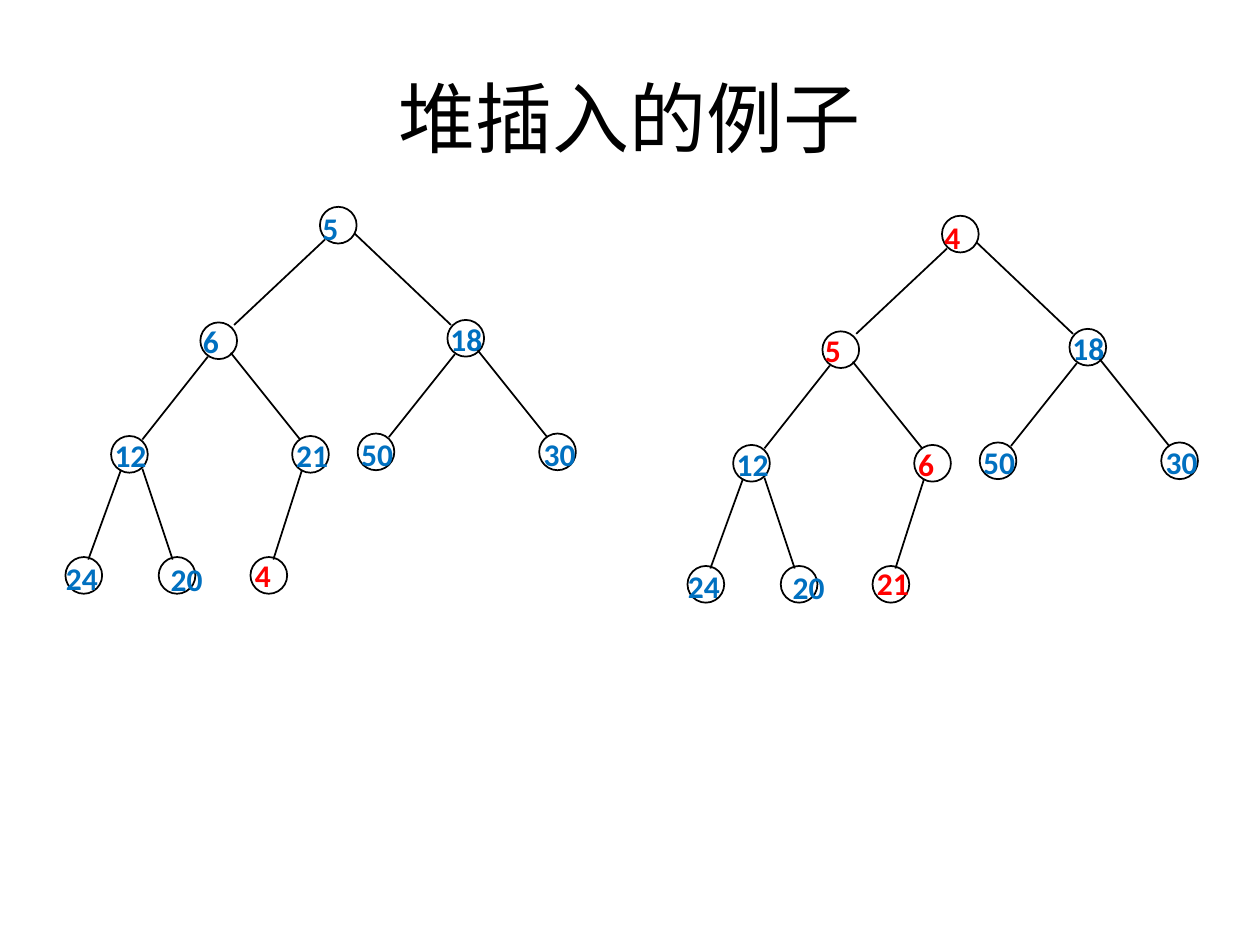
import pptx
import pptx.util
import pptx.dml.color
import pptx.enum.shapes
import pptx.enum.text
import pptx.oxml.ns
from lxml import etree

Cm = pptx.util.Cm
Pt = pptx.util.Pt
RGB = pptx.dml.color.RGBColor

THEME = {
    "ink": RGB(0x00, 0x00, 0x00),
    "key": RGB(0x00, 0x70, 0xC0),
    "moved": RGB(0xFF, 0x00, 0x00),
    "title_font": "Noto Sans CJK JP",
    "key_font": "Calibri",
    "title_size": Pt(44),
    "key_size": Pt(18),
    "line": Pt(1),
}

# Nodes in heap order: left, top, then the key's offset in its circle (cm)
NODES = [
    (6.45, 4.17, 0.05, 0.05),
    (4.04, 6.50, 0.05, 0), (9.02, 6.45, 0.06, 0.01),
    (2.24, 8.79, 0.07, 0), (5.89, 8.79, 0.08, 0),
    (7.21, 8.74, 0.07, 0.02), (10.87, 8.74, 0.09, 0.02),
    (1.32, 11.23, 0.01, 0.03), (3.20, 11.23, 0.24, 0.05), (5.05, 11.23, 0.09, -0.03),
]
NODE_SIZE = 0.74

# Edge ends per level, for left and right children:
# offset from the parent's corner, then from the child's corner (cm)
EDGES = [
    [(0.10, 0.66, 0.68, 0.05), (0.69, 0.53, 0.07, 0.10)],
    [(0.15, 0.69, 0.63, 0.07), (0.61, 0.61, 0.16, 0.07)],
    [(0.20, 0.68, 0.46, 0.05), (0.63, 0.66, 0.28, 0.05)],
]

# Each heap: shift across, shift down, keys, keys shown as moved
HEAPS = [
    (0, 0, [5, 6, 18, 12, 21, 50, 30, 24, 20, 4], {4}),
    (12.54, 0.18, [4, 5, 18, 12, 6, 50, 30, 24, 20, 21], {4, 5, 6, 21}),
]

deck = pptx.Presentation()
deck.slide_width, deck.slide_height = Cm(25.4), Cm(19.05)
page = deck.slides.add_slide(deck.slide_layouts[5])

# Title
title = page.shapes.title
title.left, title.top, title.width, title.height = Cm(1.27), Cm(0.76), Cm(22.86), Cm(3.18)
title.text_frame.vertical_anchor = pptx.enum.text.MSO_ANCHOR.MIDDLE
paragraph = title.text_frame.paragraphs[0]
paragraph.alignment = pptx.enum.text.PP_ALIGN.CENTER
span = paragraph.add_run()
span.text = "堆插入的例子"
span.font.size = THEME["title_size"]
span.font.name = THEME["title_font"]
span.font.color.rgb = THEME["ink"]
east_asian = etree.SubElement(span.font._element, pptx.oxml.ns.qn("a:ea"))
east_asian.set("typeface", THEME["title_font"])

# Heaps before and after the new key moves up
for shift_x, shift_y, keys, moved in HEAPS:
    tree = page.shapes.add_group_shape()
    for index, (key, (left, top, key_x, key_y)) in enumerate(zip(keys, NODES)):
        left, top = left + shift_x, top + shift_y

        # Circle
        node = tree.shapes.add_shape(
            pptx.enum.shapes.MSO_SHAPE.OVAL, Cm(left), Cm(top), Cm(NODE_SIZE), Cm(NODE_SIZE))
        node.shadow.inherit = False
        node.fill.background()
        node.line.color.rgb = THEME["ink"]
        node.line.width = THEME["line"]

        # Edge to the parent
        if index:
            parent_left, parent_top = NODES[(index - 1) // 2][:2]
            level = (index + 1).bit_length() - 2
            from_x, from_y, to_x, to_y = EDGES[level][(index - 1) % 2]
            edge = tree.shapes.add_connector(
                pptx.enum.shapes.MSO_CONNECTOR.STRAIGHT,
                Cm(parent_left + shift_x + from_x), Cm(parent_top + shift_y + from_y),
                Cm(left + to_x), Cm(top + to_y))
            edge.line.color.rgb = THEME["ink"]
            edge.line.width = THEME["line"]
            etree.SubElement(edge._element.spPr, pptx.oxml.ns.qn("a:effectLst"))

        # Key
        box = tree.shapes.add_textbox(
            Cm(left + key_x), Cm(top + key_y), Cm(0.33 * len(str(key))), Cm(0.76))
        frame = box.text_frame
        frame.margin_left = frame.margin_right = frame.margin_top = frame.margin_bottom = 0
        frame.word_wrap = False
        frame.auto_size = pptx.enum.text.MSO_AUTO_SIZE.SHAPE_TO_FIT_TEXT
        paragraph = frame.paragraphs[0]
        paragraph.text = str(key)
        paragraph.font.name = THEME["key_font"]
        paragraph.font.size = THEME["key_size"]
        paragraph.font.bold = True
        paragraph.font.color.rgb = THEME["moved" if key in moved else "key"]

deck.save("out.pptx")
